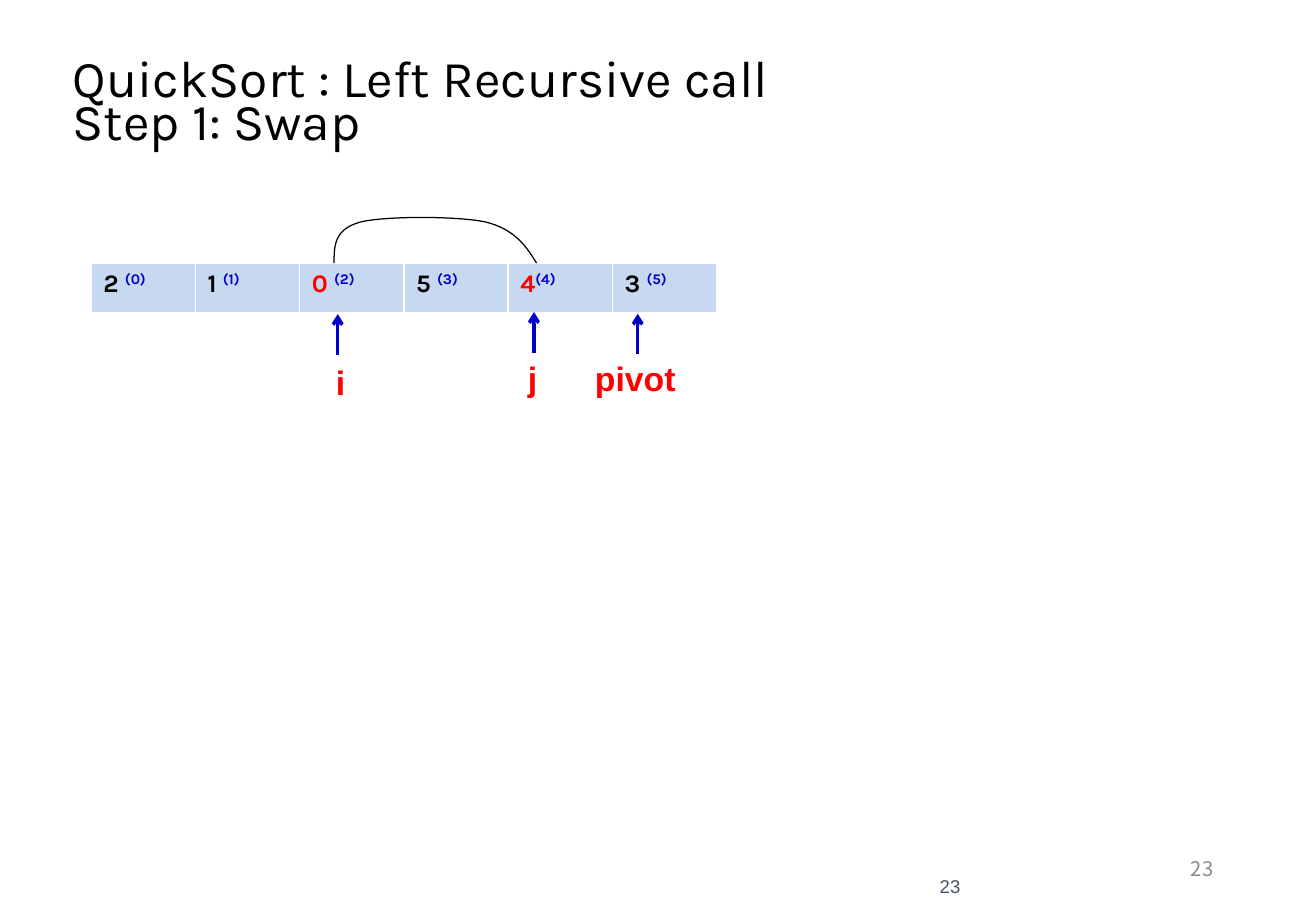
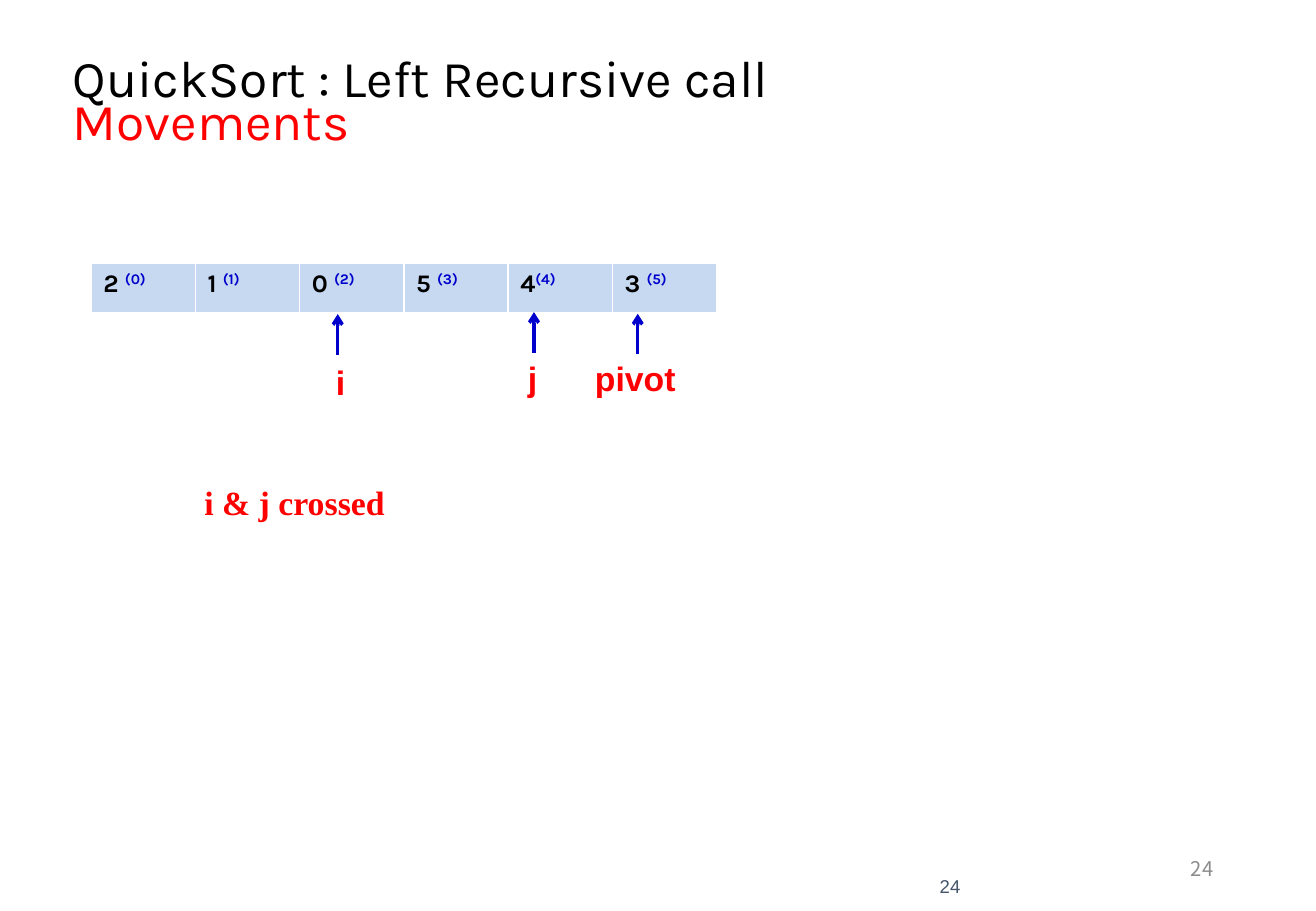
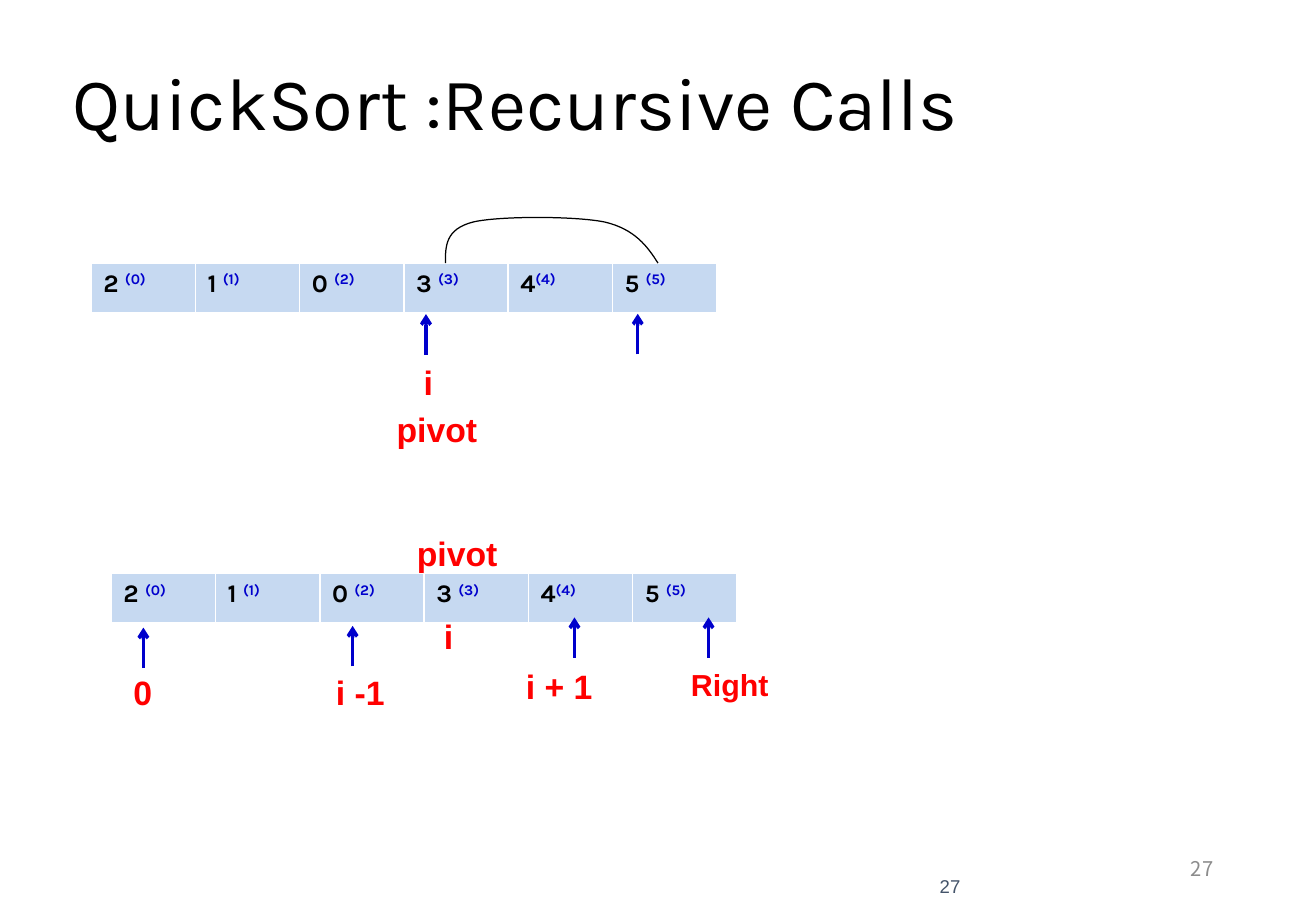
from dataclasses import dataclass
from typing import NamedTuple

from lxml import etree
from pptx import Presentation
from pptx import util as u
from pptx.dml.color import RGBColor
from pptx.enum import text
from pptx.enum import shapes as kinds
from pptx.oxml import ns
from pptx.slide import Slide

BLACK = RGBColor(0x00, 0x00, 0x00)
WHITE = RGBColor(0xFF, 0xFF, 0xFF)
RED = RGBColor(0xFF, 0x00, 0x00)
BLUE = RGBColor(0x00, 0x00, 0xCC)
CELL_BLUE = RGBColor(0xC6, 0xD9, 0xF1)
GRAY = RGBColor(0x8C, 0x8C, 0x8C)
SLATE = RGBColor(0x44, 0x54, 0x6A)

HEAD_FONT = "Karla"
LABEL_FONT = "Arial"
NUMBER_FONT = "Noto Sans CJK SC"
NOTE_FONT = "Times New Roman"

COLUMN_WIDTH = 61.8
ROW_HEIGHT = 30
ARROW_LENGTH = 24
ARCH_TOP = 128
ARCH_HEIGHT = 28
ARCH_CURVE = (
    (1, 1), (0.95, 0.64), (0.89, 0.28), (0.75, 0.13), (0.61, 0),
    (0.25, 0), (0.13, 0.13), (0, 0.28), (0, 0.64), (0, 1),
)
BORDERS = (("lnL", 1), ("lnR", 1), ("lnT", 1), ("lnB", 3))


class Span(NamedTuple):
    words: str
    color: RGBColor
    size: float
    font: str
    bold: bool = False
    raised: bool = False


class Area(NamedTuple):
    left: float
    top: float
    width: float
    height: float


class Label(NamedTuple):
    words: str
    left: float
    top: float
    width: float
    size: float = 20
    font: str = LABEL_FONT


class Arrow(NamedTuple):
    x: float
    tip: float


class Arch(NamedTuple):
    left: float
    width: float


class Row(NamedTuple):
    left: float
    top: float
    values: tuple[str, ...]
    red_cells: tuple[int, ...] = ()


@dataclass(frozen=True)
class Page:
    number: str
    title: tuple[tuple[str, RGBColor], ...]
    title_size: float
    title_spacing: float
    rows: tuple[Row, ...]
    arrows: tuple[Arrow, ...]
    labels: tuple[Label, ...]
    arches: tuple[Arch, ...] = ()


TITLE_AREA = Area(36, 30, 570, 66)
NUMBER_AREA = Area(550.8, 500.4, 175.5, 28.8)
SMALL_NUMBER_AREA = Area(530.3, 516.2, 46, 18)


def add_span(para, style: Span) -> None:
    span = para.add_run()
    span.text = style.words
    span.font.name = style.font
    span.font.size = u.Pt(style.size)
    span.font.bold = style.bold
    span.font.color.rgb = style.color
    if style.raised:
        span._r.get_or_add_rPr().set("baseline", "30000")


def add_box(page: Slide, area: Area):
    box = page.shapes.add_textbox(*(u.Pt(side) for side in area))
    box.text_frame.word_wrap = True
    box.text_frame.vertical_anchor = text.MSO_ANCHOR.MIDDLE
    return box


def add_title(page: Slide, plan: Page) -> None:
    para = add_box(page, TITLE_AREA).text_frame.paragraphs[0]
    para.line_spacing = plan.title_spacing
    for index, (words, color) in enumerate(plan.title):
        if index:
            para.add_line_break()
        add_span(para, Span(words, color, plan.title_size, HEAD_FONT))


def add_number(page: Slide, area: Area, style: Span) -> None:
    para = add_box(page, area).text_frame.paragraphs[0]
    para.alignment = text.PP_ALIGN.RIGHT
    add_span(para, style)


def add_label(page: Slide, label: Label) -> None:
    box = add_box(page, Area(label.left, label.top, label.width, 31))
    frame = box.text_frame
    frame.word_wrap = False
    frame.auto_size = text.MSO_AUTO_SIZE.SHAPE_TO_FIT_TEXT
    frame.vertical_anchor = text.MSO_ANCHOR.TOP
    add_span(frame.paragraphs[0], Span(label.words, RED, label.size, label.font, True))


def add_borders(cell) -> None:
    properties = cell._tc.get_or_add_tcPr()
    for tag, width in BORDERS:
        border = etree.SubElement(properties, ns.qn(f"a:{tag}"), w=str(u.Pt(width)))
        fill = etree.SubElement(border, ns.qn("a:solidFill"))
        etree.SubElement(fill, ns.qn("a:srgbClr"), val=str(WHITE))


def add_row(page: Slide, row: Row) -> None:
    count = len(row.values)
    table = page.shapes.add_table(
        1, count, u.Pt(row.left), u.Pt(row.top), u.Pt(COLUMN_WIDTH * count), u.Pt(ROW_HEIGHT)
    ).table
    table.first_row = False
    table.horz_banding = False
    for index, value in enumerate(row.values):
        table.columns[index].width = u.Pt(COLUMN_WIDTH)
        cell = table.cell(0, index)
        add_borders(cell)
        cell.fill.solid()
        cell.fill.fore_color.rgb = CELL_BLUE
        para = cell.text_frame.paragraphs[0]
        color = RED if index in row.red_cells else BLACK
        add_span(para, Span(value, color, 15, HEAD_FONT, True))
        add_span(para, Span(f"({index})", BLUE, 15, HEAD_FONT, True, True))


def add_arrow(page: Slide, arrow: Arrow) -> None:
    x = u.Pt(arrow.x)
    line = page.shapes.add_connector(
        kinds.MSO_CONNECTOR.STRAIGHT, x, u.Pt(arrow.tip + ARROW_LENGTH), x, u.Pt(arrow.tip)
    )
    line.line.color.rgb = BLUE
    line.line.width = u.Pt(2)
    etree.SubElement(line.line._get_or_add_ln(), ns.qn("a:tailEnd"), type="arrow")
    etree.SubElement(line._element.spPr, ns.qn("a:effectLst"))


def add_arch(page: Slide, arch: Arch) -> None:
    points = [
        (u.Pt(arch.left + arch.width * x), u.Pt(ARCH_TOP + ARCH_HEIGHT * y))
        for x, y in ARCH_CURVE
    ]
    builder = page.shapes.build_freeform(*points[0])
    builder.add_line_segments(points[1:], close=False)
    shape = builder.convert_to_shape()
    segments = list(shape._element.iter(ns.qn("a:lnTo")))
    for start in range(0, len(segments), 3):
        curve = etree.Element(ns.qn("a:cubicBezTo"))
        segments[start].addprevious(curve)
        for segment in segments[start:start + 3]:
            curve.append(segment[0])
            segment.getparent().remove(segment)
    shape.fill.background()
    shape.line.color.rgb = BLACK
    shape.line.width = u.Pt(0.75)
    shape.shadow.inherit = False


def add_page(deck, plan: Page) -> None:
    page = deck.slides.add_slide(deck.slide_layouts[6])
    add_title(page, plan)
    add_number(page, NUMBER_AREA, Span(plan.number, GRAY, 12, NUMBER_FONT))
    add_number(page, SMALL_NUMBER_AREA, Span(plan.number, SLATE, 11, LABEL_FONT))
    for row in plan.rows:
        add_row(page, row)
    for arrow in plan.arrows:
        add_arrow(page, arrow)
    for arch in plan.arches:
        add_arch(page, arch)
    for label in plan.labels:
        add_label(page, label)


LEFT_CALL = ("QuickSort : Left Recursive call", BLACK)
BEFORE = ("2 ", "1 ", "0 ", "5 ", "4", "3 ")
AFTER = ("2 ", "1 ", "0 ", "3 ", "4", "5 ")
PIVOT_ARROW = Arrow(378, 186)
LEFT_ARROWS = (Arrow(200.2, 186.2), PIVOT_ARROW, Arrow(316.5, 185))
LEFT_LABELS = (
    Label("i", 192, 211, 21),
    Label("pivot", 345.6, 208.8, 64),
    Label("j", 305.8, 208.8, 21),
)

PAGES = (
    Page(
        "23", (LEFT_CALL, ("Step 1: Swap", BLACK)), 30.6, 0.7,
        (Row(54, 156, BEFORE, (2, 4)),), LEFT_ARROWS, LEFT_LABELS,
        (Arch(198, 120),),
    ),
    Page(
        "24", (LEFT_CALL, ("Movements", RED)), 30.6, 0.7,
        (Row(54, 156, BEFORE),), LEFT_ARROWS,
        LEFT_LABELS + (Label("i & j crossed", 114, 282, 126, 20, NOTE_FONT),),
    ),
    Page(
        "27", (("QuickSort :Recursive Calls", BLACK),), 44, 0.9,
        (Row(54, 156, AFTER), Row(66, 340, AFTER)),
        (
            Arrow(252.5, 186.2), PIVOT_ARROW, Arrow(85, 372),
            Arrow(209, 371), Arrow(340.5, 366), Arrow(420, 366),
        ),
        (
            Label("i", 244, 211, 21),
            Label("pivot", 228, 239, 64),
            Label("pivot", 240, 312, 64),
            Label("i", 256, 361.5, 21),
            Label("0", 72, 394.6, 27),
            Label("i -1", 192, 394.6, 45),
            Label("i + 1", 304.6, 391, 56),
            Label("Right", 402.5, 391.3, 67, 18),
        ),
        (Arch(264, 126),),
    ),
)


def main() -> None:
    deck = Presentation()
    deck.slide_width = u.Pt(780)
    deck.slide_height = u.Pt(540)
    for plan in PAGES:
        add_page(deck, plan)
    deck.save("out.pptx")


if __name__ == "__main__":
    main()
